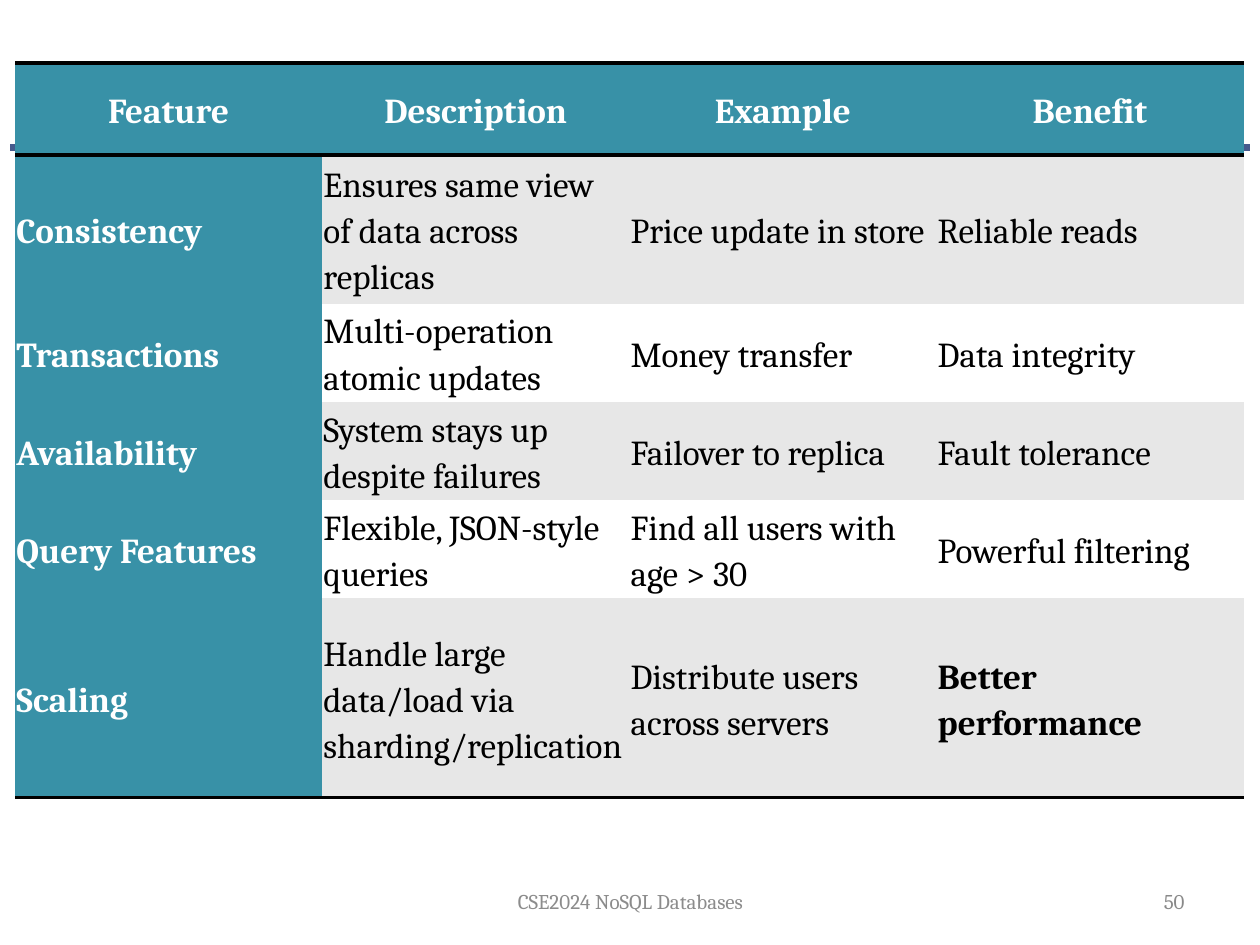
from lxml.etree import SubElement
from pptx import Presentation
from pptx.dml.color import RGBColor
from pptx.enum.shapes import MSO_CONNECTOR
from pptx.enum.text import MSO_ANCHOR, PP_ALIGN
from pptx.oxml.ns import qn
from pptx.util import Inches, Pt

FONT = "Cambria"
TEAL, GREY, WHITE, BLACK = "3891A7", "E7E7E7", "FFFFFF", "000000"
NO_GRID_STYLE = "{2D5ABB26-0587-4C30-8999-92F81FD0307C}"
TABLE_LEFT, TABLE_TOP, TABLE_WIDTH = 0.12, 0.5, 9.75
ROW_HEIGHTS = [0.73, 1.18, 0.78, 0.78, 0.78, 1.58]
ROWS = [
    ["Feature", "Description", "Example", "Benefit"],
    ["Consistency", "Ensures same view of data across replicas",
     "Price update in store", "Reliable reads"],
    ["Transactions", "Multi-operation atomic updates",
     "Money transfer", "Data integrity"],
    ["Availability", "System stays up despite failures",
     "Failover to replica", "Fault tolerance"],
    ["Query Features", "Flexible, JSON-style queries",
     "Find all users with age > 30", "Powerful filtering"],
    ["Scaling", "Handle large data/load via sharding/replication",
     "Distribute users across servers", "Better performance"],
]


def rgb(value):
    return RGBColor.from_string(value)


def format_text(p, size, color, align, bold=False):
    p.alignment = align
    for r in p.runs:
        r.font.name = FONT
        r.font.size = Pt(size)
        r.font.bold = bold
        r.font.color.rgb = rgb(color)


def add_rule(slide, y, margin, color, width):
    line = slide.shapes.add_connector(
        MSO_CONNECTOR.STRAIGHT, Inches(margin), Inches(y),
        Inches(10 - margin), Inches(y))
    line.line.color.rgb = rgb(color)
    line.line.width = Pt(width)
    SubElement(line._element.spPr, qn("a:effectLst"))


def add_border(cell, side, color=BLACK, width=2):
    tc_pr = cell._tc.get_or_add_tcPr()
    ln = SubElement(tc_pr, qn(f"a:ln{side}"), w=str(Pt(width)))
    fill = SubElement(ln, qn("a:solidFill"))
    SubElement(fill, qn("a:srgbClr"), val=color)


def format_cell(cell, text, row, col):
    header, last = row == 0, row == len(ROWS) - 1
    label = header or col == 0
    closing = last and col == len(ROWS[0]) - 1

    # Borders come before the fill in the cell properties
    if header:
        add_border(cell, "T")
    if header or last:
        add_border(cell, "B")
    cell.fill.solid()
    cell.fill.fore_color.rgb = rgb(TEAL if label else GREY if row % 2 else WHITE)

    cell.vertical_anchor = MSO_ANCHOR.MIDDLE
    cell.margin_left = cell.margin_right = Inches(0.01)
    cell.margin_top = cell.margin_bottom = Inches(0.01)
    cell.text_frame.text = text
    p = cell.text_frame.paragraphs[0]
    p.line_spacing = 1.15
    p.space_after = Pt(8)
    format_text(p, 20, WHITE if label else BLACK,
                PP_ALIGN.CENTER if header else PP_ALIGN.LEFT, label or closing)


def add_feature_table(slide):
    frame = slide.shapes.add_table(
        len(ROWS), len(ROWS[0]), Inches(TABLE_LEFT), Inches(TABLE_TOP),
        Inches(TABLE_WIDTH), Inches(sum(ROW_HEIGHTS)))
    table = frame.table
    table.first_row = table.horz_banding = False
    table._tbl.tblPr.find(qn("a:tableStyleId")).text = NO_GRID_STYLE
    for row, (height, texts) in enumerate(zip(ROW_HEIGHTS, ROWS)):
        table.rows[row].height = Inches(height)
        for col, text in enumerate(texts):
            format_cell(table.cell(row, col), text, row, col)


def add_footer_text(slide, left, width, text, color, align):
    box = slide.shapes.add_textbox(
        Inches(left), Inches(6.95), Inches(width), Inches(0.4))
    tf = box.text_frame
    tf.word_wrap = True
    tf.vertical_anchor = MSO_ANCHOR.MIDDLE
    tf.text = text
    format_text(tf.paragraphs[0], 12, color, align)


def main():
    prs = Presentation()
    prs.slide_width, prs.slide_height = Inches(10), Inches(7.5)
    slide = prs.slides.add_slide(prs.slide_layouts[6])

    # Rule behind the table
    add_rule(slide, 1.17, 0.08, "475A8D", 4)
    add_feature_table(slide)

    # Footer and slide number
    add_footer_text(slide, 3.42, 3.17, "CSE2024 NoSQL Databases",
                    "8C8C8C", PP_ALIGN.CENTER)
    add_footer_text(slide, 7.17, 2.33, "50", "898989", PP_ALIGN.RIGHT)
    prs.save("out.pptx")


if __name__ == "__main__":
    main()
